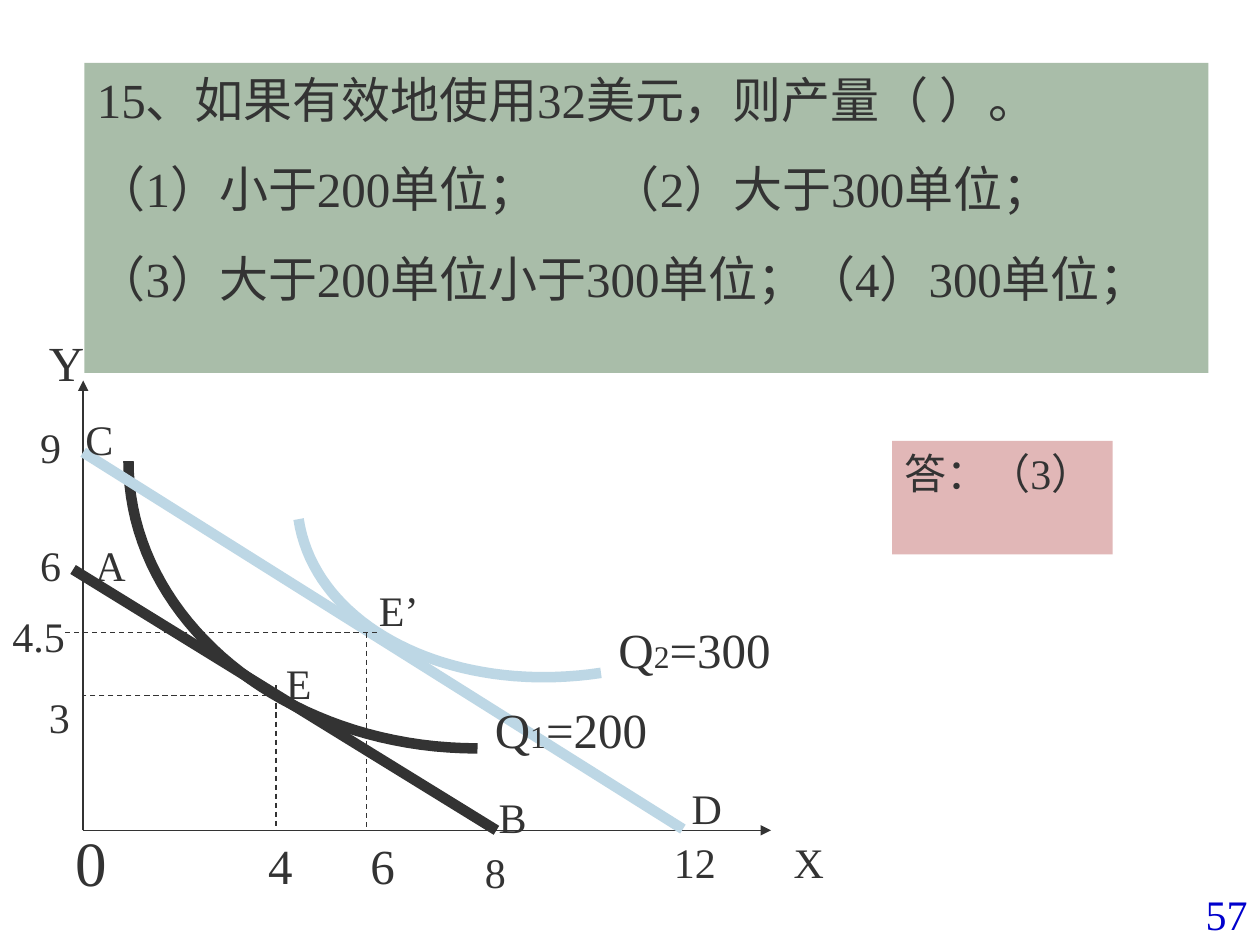
from lxml.etree import SubElement
from pptx import Presentation
from pptx.dml.color import RGBColor
from pptx.enum.dml import MSO_LINE
from pptx.enum.shapes import MSO_CONNECTOR, MSO_SHAPE
from pptx.enum.text import MSO_ANCHOR, PP_ALIGN
from pptx.oxml.ns import qn
from pptx.util import Inches, Pt

COLORS = {
    "ink": "333333",
    "light_blue": "BDD7E5",
    "question": "A9BDA9",
    "answer": "E1B7B7",
    "page": "0000CC",
}
FONT = "Times New Roman"
CURVE_STEPS = 40


def bezier(start, control_1, control_2, end):
    points = []
    for step in range(CURVE_STEPS + 1):
        t = step / CURVE_STEPS
        weights = ((1 - t) ** 3, 3 * t * (1 - t) ** 2, 3 * t ** 2 * (1 - t), t ** 3)
        corners = (start, control_1, control_2, end)
        points.append(tuple(
            Inches(sum(w * corner[axis] for w, corner in zip(weights, corners)))
            for axis in (0, 1)
        ))
    return points


class SlideBuilder:
    def __init__(self, slide):
        self.shapes = slide.shapes

    def color(self, name):
        return RGBColor.from_string(COLORS[name])

    def style_font(self, font, size, color="ink"):
        font.name = FONT
        font.size = Pt(size)
        font.color.rgb = self.color(color)

    def style_line(self, line, color, width):
        line.color.rgb = self.color(color)
        line.width = Pt(width)

    def line(self, start, end, color="ink", width=0.75, dashed=False, arrow=False):
        connector = self.shapes.add_connector(
            MSO_CONNECTOR.STRAIGHT, *map(Inches, start + end))
        self.style_line(connector.line, color, width)
        if dashed:
            connector.line.dash_style = MSO_LINE.DASH
        properties = connector._element.spPr
        if arrow:
            SubElement(properties.find(qn("a:ln")), qn("a:tailEnd"), type="triangle")
        SubElement(properties, qn("a:effectLst"))

    def curve(self, corners, color):
        points = bezier(*corners)
        builder = self.shapes.build_freeform(*points[0])
        builder.add_line_segments(points[1:], close=False)
        isoquant = builder.convert_to_shape()
        isoquant.shadow.inherit = False
        isoquant.fill.background()
        self.style_line(isoquant.line, color, 6)

    def label(self, text, left, top, width, size=24, color="ink", align=PP_ALIGN.LEFT):
        height = 0.5 if size == 24 else 0.57 if size == 28 else 0.7
        box = self.shapes.add_textbox(*map(Inches, (left, top, width, height)))
        box.text_frame.word_wrap = True
        paragraph = box.text_frame.paragraphs[0]
        paragraph.text = text
        paragraph.alignment = align
        self.style_font(paragraph.font, size, color)

    def quantity(self, index, value, left, top, width):
        box = self.shapes.add_textbox(*map(Inches, (left, top, width, 0.57)))
        box.text_frame.word_wrap = True
        paragraph = box.text_frame.paragraphs[0]
        for text, size in (("Q", 28), (index, 18), (f"={value}", 28)):
            run = paragraph.add_run()
            run.text = text
            self.style_font(run.font, size)

    def panel(self, lines, place, fill, size, spacing=0, tab=None):
        panel = self.shapes.add_shape(MSO_SHAPE.RECTANGLE, *map(Inches, place))
        panel.shadow.inherit = False
        panel.fill.solid()
        panel.fill.fore_color.rgb = self.color(fill)
        panel.line.fill.background()
        frame = panel.text_frame
        frame.word_wrap = True
        frame.vertical_anchor = MSO_ANCHOR.TOP
        for number, text in enumerate(lines):
            paragraph = frame.add_paragraph() if number else frame.paragraphs[0]
            paragraph.text = text
            paragraph.alignment = PP_ALIGN.LEFT
            if number:
                paragraph.space_before = Pt(spacing)
            if "\t" in text:
                tabs = SubElement(paragraph._p.get_or_add_pPr(), qn("a:tabLst"))
                SubElement(tabs, qn("a:tab"), pos=str(Inches(tab)), algn="l")
            self.style_font(paragraph.font, size)


def main():
    presentation = Presentation()
    presentation.slide_width = Inches(10)
    presentation.slide_height = Inches(7.5)
    slide = SlideBuilder(presentation.slides.add_slide(presentation.slide_layouts[6]))

    slide.label("57", 6.73, 7, 3.27, color="page", align=PP_ALIGN.RIGHT)

    origin_x, origin_y = 0.66, 6.59
    origin = (origin_x, origin_y)
    slide.line(origin, (6.12, origin_y), arrow=True)
    slide.line(origin, (origin_x, 3.02), arrow=True)

    slide.curve(((3.79, 5.94), (2.26, 5.94), (1.02, 4.92), (1.02, 3.66)), "ink")
    slide.line((origin_x, 3.59), (5.42, 6.58), "light_blue", 6)
    slide.line((0.58, 4.52), (3.94, origin_y), width=6)
    slide.curve(((4.77, 5.34), (3.58, 5.52), (2.5, 4.98), (2.37, 4.12)), "light_blue")

    for start, end in (
        ((2.19, 5.44), (2.19, origin_y)),
        ((2.19, 5.52), (origin_x, 5.52)),
        ((2.99, 5.02), (0.51, 5.02)),
        ((2.91, 5.02), (2.91, origin_y)),
    ):
        slide.line(start, end, dashed=True)

    slide.quantity("1", 200, 3.83, 5.5, 2.13)
    slide.quantity("2", 300, 4.81, 4.87, 1.55)

    for label in (
        ("X", 6.2, 6.59, 0.44),
        ("Y", 0.29, 2.59, 0.48, 28),
        ("0", 0.5, 6.49, 0.45, 36),
        ("4", 2.03, 6.58, 0.39, 28),
        ("6", 2.84, 6.58, 0.39, 28),
        ("8", 3.75, 6.67, 0.73),
        ("12", 5.25, 6.59, 0.75),
        ("9", 0.22, 3.3, 0.36),
        ("6", 0.22, 4.23, 0.58),
        ("4.5", 0, 4.8, 1.17),
        ("3", 0.29, 5.44, 0.44),
        ("A", 0.66, 4.23, 0.44),
        ("B", 3.86, 6.23, 0.44),
        ("C", 0.58, 3.23, 0.44),
        ("D", 5.39, 6.16, 0.51),
        ("E", 2.17, 5.17, 0.58),
        ("E’", 2.91, 4.59, 0.66),
    ):
        slide.label(*label)

    question = (
        "15、如果有效地使用32美元，则产量（ ）。",
        "（1）小于200单位；\t（2）大于300单位；",
        "（3）大于200单位小于300单位；（4）300单位；",
    )
    slide.panel(question, (0.67, 0.5, 8.92, 2.46), "question", 28, spacing=17.5, tab=4.08)
    slide.panel(("答：（3）",), (7.08, 3.5, 1.75, 0.9), "answer", 24)

    presentation.save("out.pptx")


if __name__ == "__main__":
    main()
